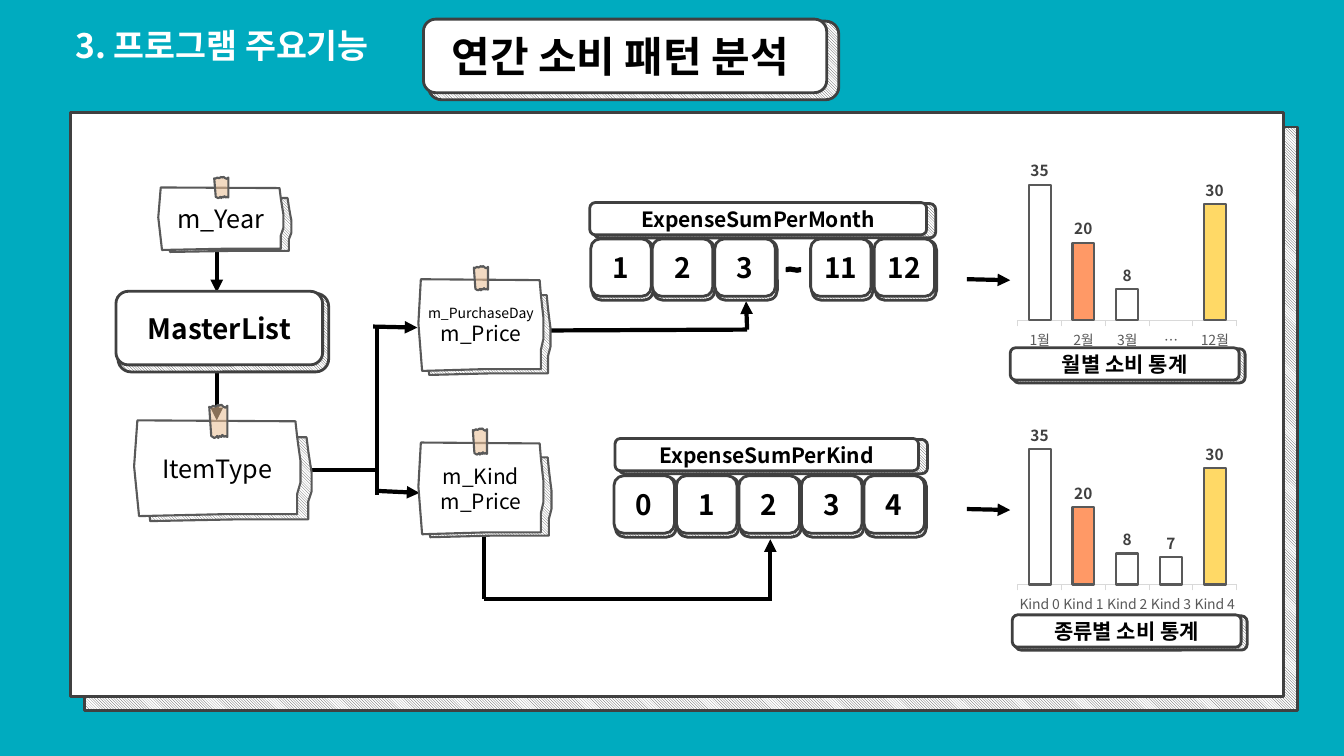
from lxml import etree
from pptx import Presentation
from pptx.chart.data import CategoryChartData
from pptx.dml.color import RGBColor
from pptx.enum.chart import XL_CHART_TYPE, XL_LABEL_POSITION, XL_TICK_MARK
from pptx.enum.dml import MSO_PATTERN
from pptx.enum.shapes import MSO_CONNECTOR, MSO_SHAPE
from pptx.enum.text import MSO_ANCHOR, PP_ALIGN
from pptx.oxml.ns import qn
from pptx.util import Inches, Pt

RECTANGLE = MSO_SHAPE.RECTANGLE
ROUNDED = MSO_SHAPE.ROUNDED_RECTANGLE
WAVE = MSO_SHAPE.WAVE
HATCH = MSO_PATTERN.DARK_DOWNWARD_DIAGONAL
STRAIGHT = MSO_CONNECTOR.STRAIGHT
COLUMNS = XL_CHART_TYPE.COLUMN_CLUSTERED
OUTSIDE_END = XL_LABEL_POSITION.OUTSIDE_END
TICK_OUTSIDE = XL_TICK_MARK.OUTSIDE
CENTER = PP_ALIGN.CENTER
MIDDLE = MSO_ANCHOR.MIDDLE
FONT = "Noto Sans CJK KR"
HEX = {
    "teal": "00ABBF", "white": "FFFFFF", "black": "000000", "dark": "404040",
    "gray": "595959", "axis": "D9D9D9", "tape": "EAC096", "orange": "FF9966",
    "yellow": "FFD966",
}
COLORS = {name: RGBColor.from_string(value) for name, value in HEX.items()}


def paint(shape, fill, line, width):
    shape.shadow.inherit = False
    if fill == "hatch":
        shape.fill.patterned()
        shape.fill.pattern = HATCH
        shape.fill.fore_color.rgb = COLORS[line]
        shape.fill.back_color.rgb = COLORS["white"]
    else:
        shape.fill.solid()
        shape.fill.fore_color.rgb = COLORS[fill]
    shape.line.color.rgb = COLORS[line]
    shape.line.width = Pt(width)


def write(shape, lines, bold, color="black", align=CENTER):
    frame = shape.text_frame
    for index, (text, size) in enumerate(lines):
        paragraph = frame.paragraphs[0] if index == 0 else frame.add_paragraph()
        paragraph.alignment = align
        run = paragraph.add_run()
        run.text = text
        style = {"size": Pt(size), "bold": bold, "name": FONT}
        for key, value in style.items():
            setattr(run.font, key, value)
        run.font.color.rgb = COLORS[color]
        etree.SubElement(run.font._element, qn("a:ea"), typeface=FONT)


presentation = Presentation()
presentation.slide_width = Inches(13.33)
presentation.slide_height = Inches(7.5)
slide = presentation.slides.add_slide(presentation.slide_layouts[6])
slide.background.fill.solid()
slide.background.fill.fore_color.rgb = COLORS["teal"]
shapes = slide.shapes

for offset, fill in ((0.14, "hatch"), (0, "white")):
    box = (0.7 + offset, 1.12 + offset, 12.03, 5.79)
    panel = shapes.add_shape(RECTANGLE, *map(Inches, box))
    paint(panel, fill, "dark", 2)

heading = shapes.add_textbox(Inches(0.65), Inches(0), Inches(6.03), Inches(0.64))
heading.text_frame.word_wrap = True
write(heading, [("3. 프로그램 주요기능", 24)], True, "white", PP_ALIGN.LEFT)
heading.text_frame.paragraphs[0].line_spacing = 1.5

connectors = [
    (2.15, 2.23, 2.15, 2.9, True),
    (2.15, 3.51, 2.15, 4.17, True),
    (2.98, 4.66, 3.74, 4.66, False),
    (3.74, 4.91, 3.74, 3.24, False),
    (3.7, 3.24, 4.14, 3.25, True),
    (3.73, 4.87, 4.16, 4.89, True),
    (5.1, 3.28, 7.41, 3.27, False),
    (7.41, 3.27, 7.4, 2.99, True),
    (4.8, 5.94, 7.66, 5.94, False),
    (7.64, 5.95, 7.64, 5.35, True),
    (4.8, 5.94, 4.8, 5.12, False),
    (9.59, 2.77, 10.02, 2.78, True),
    (9.59, 5.05, 10.02, 5.06, True),
]
for *ends, arrow in connectors:
    connector = shapes.add_connector(STRAIGHT, *map(Inches, ends))
    connector.line.color.rgb = COLORS["black"]
    connector.line.width = Pt(3)
    if arrow:
        etree.SubElement(connector.line._get_or_add_ln(), qn("a:tailEnd"), type="triangle")
    etree.SubElement(connector._element.spPr, qn("a:effectLst"))

categories_and_values = [
    (4.2, ["Kind 0", "Kind 1", "Kind 2", "Kind 3", "Kind 4"], [35, 20, 8, 7, 30]),
    (1.58, ["1월", "2월", "3월", "…", "12월"], [35, 20, 8, None, 30]),
]
for top, categories, values in categories_and_values:
    data = CategoryChartData()
    data.categories = categories
    data.add_series("Series 1", values)
    box = (10.05, top, 2.26, 1.93)
    chart = shapes.add_chart(COLUMNS, *map(Inches, box), data).chart
    chart.has_legend = False
    chart.has_title = False
    category_axis, value_axis = chart.category_axis, chart.value_axis
    value_axis.visible = False
    value_axis.has_major_gridlines = False
    value_axis.minimum_scale, value_axis.maximum_scale = 0, 40
    category_axis.major_tick_mark = TICK_OUTSIDE
    category_axis.format.line.color.rgb = COLORS["axis"]
    category_axis.format.line.width = Pt(0.75)
    plot = chart.plots[0]
    plot.gap_width = 100
    plot.vary_by_categories = False
    series = plot.series[0]
    for index, color in enumerate(["white", "orange", "white", "white", "yellow"]):
        bar = series.points[index].format
        bar.fill.solid()
        bar.fill.fore_color.rgb = COLORS[color]
        bar.line.color.rgb = COLORS["gray"]
        bar.line.width = Pt(1.5)
    labels = series.data_labels
    labels.show_value = True
    labels.position = OUTSIDE_END
    chart_fonts = [
        (chart.font, 10, False, "black"),
        (category_axis.tick_labels.font, 10, False, "gray"),
        (labels.font, 11, True, "dark"),
    ]
    for font, size, bold, color in chart_fonts:
        for key, value in {"size": Pt(size), "bold": bold, "name": FONT}.items():
            setattr(font, key, value)
        font.color.rgb = COLORS[color]
        etree.SubElement(font._element, qn("a:ea"), typeface=FONT)

cell_shadow = (0.01, 0.01, 0.01, 0.03)
bar_shadow = (0.04, 0.01, 0.05, 0.02)
caption_shadow = (0.03, 0.01, 0.03, 0.02)
cells = [(text, left, 2.37) for text, left in
         (("1", 5.86), ("2", 6.47), ("3", 7.09), ("11", 8.04), ("12", 8.67))]
cells += [(str(index), 6.09 + 0.62 * index, 4.72) for index in range(5)]
cards = [(text, 20, (left, top, 0.6, 0.57), cell_shadow) for text, left, top in cells]
cards += [
    ("연간 소비 패턴 분석 ", 30, (4.2, 0.19, 4, 0.73), (0.05, 0.02, 0.07, 0.05)),
    ("MasterList", 20, (1.15, 2.89, 2.05, 0.73), (0.02, 0.02, 0.04, 0.05)),
    ("ExpenseSumPerMonth", 15, (5.85, 2.01, 3.34, 0.32), bar_shadow),
    ("ExpenseSumPerKind", 15, (6.1, 4.35, 3.01, 0.32), bar_shadow),
    ("월별 소비 통계", 15, (10.02, 3.45, 2.27, 0.32), caption_shadow),
    ("종류별 소비 통계", 15, (10.04, 6.1, 2.27, 0.32), caption_shadow),
]
for text, size, box, shadow in cards:
    shadow_box = [base + change for base, change in zip(box, shadow)]
    back = shapes.add_shape(ROUNDED, *map(Inches, shadow_box))
    paint(back, "hatch", "dark", 2)
    card = shapes.add_shape(ROUNDED, *map(Inches, box))
    paint(card, "white", "dark", 2)
    card.text_frame.margin_left = card.text_frame.margin_right = 0
    card.text_frame.vertical_anchor = MIDDLE
    write(card, [(text, size)], True)

tilde = shapes.add_shape(WAVE, Inches(7.8), Inches(2.65), Inches(0.14), Inches(0.05))
paint(tilde, "black", "black", 1)

note_outline = [(0.02, 0), (0.97, 0.01), (0.98, 0.17), (0.99, 0.3), (1, 0.42),
                (1, 0.54), (1, 0.65), (0.98, 0.77), (0.98, 0.98), (0.54, 0.98),
                (0.03, 1), (0, 0.48)]
tape_outline = [(0.06, 0.11), (0, 0.28), (0.03, 0.39), (0.06, 0.44), (0, 0.5),
                (0.06, 0.56), (0.03, 0.67), (0.09, 0.72), (0.03, 0.83), (0.06, 0.89),
                (0.03, 1), (0.97, 1), (0.91, 0.89), (0.94, 0.78), (1, 0.67),
                (0.97, 0.56), (1, 0.5), (0.94, 0.33), (0.97, 0.22), (0.91, 0.06),
                (0.94, 0)]
notes = [
    ([("m_Year", 18)], (1.57, 1.86, 1.24, 0.62), (1.65, 1.96, 1.24, 0.54),
     (2.09, 1.79, 0.21, 0.14)),
    ([("m_Kind", 15), ("m_Price", 15)], (4.15, 4.39, 1.24, 0.91),
     (4.23, 4.53, 1.24, 0.8), (4.63, 4.31, 0.26, 0.14)),
    ([("ItemType", 18)], (1.33, 4.17, 1.65, 0.95), (1.44, 4.33, 1.65, 0.84),
     (2, 4.09, 0.33, 0.18)),
    ([("m_PurchaseDay", 10), ("m_Price", 15)], (4.15, 2.77, 1.24, 0.91),
     (4.22, 2.92, 1.24, 0.8), (4.65, 2.69, 0.24, 0.14)),
]
for lines, front_box, back_box, tape_box in notes:
    layers = [(back_box, note_outline, "hatch"), (front_box, note_outline, "white"),
              (tape_box, tape_outline, "tape")]
    for (left, top, width, height), outline, fill in layers:
        points = [(Inches(left + x * width), Inches(top + y * height)) for x, y in outline]
        builder = shapes.build_freeform(*points[0])
        builder.add_line_segments(points[1:], close=True)
        layer = builder.convert_to_shape()
        paint(layer, fill, "gray", 1.5)
        if fill == "white":
            layer.text_frame.margin_left = layer.text_frame.margin_right = 0
            layer.text_frame.vertical_anchor = MIDDLE
            write(layer, lines, False)
        if fill == "tape":
            layer.rotation = 270
            color = layer._element.spPr.find(qn("a:solidFill"))[0]
            etree.SubElement(color, qn("a:alpha"), val="58000")

presentation.save("out.pptx")
